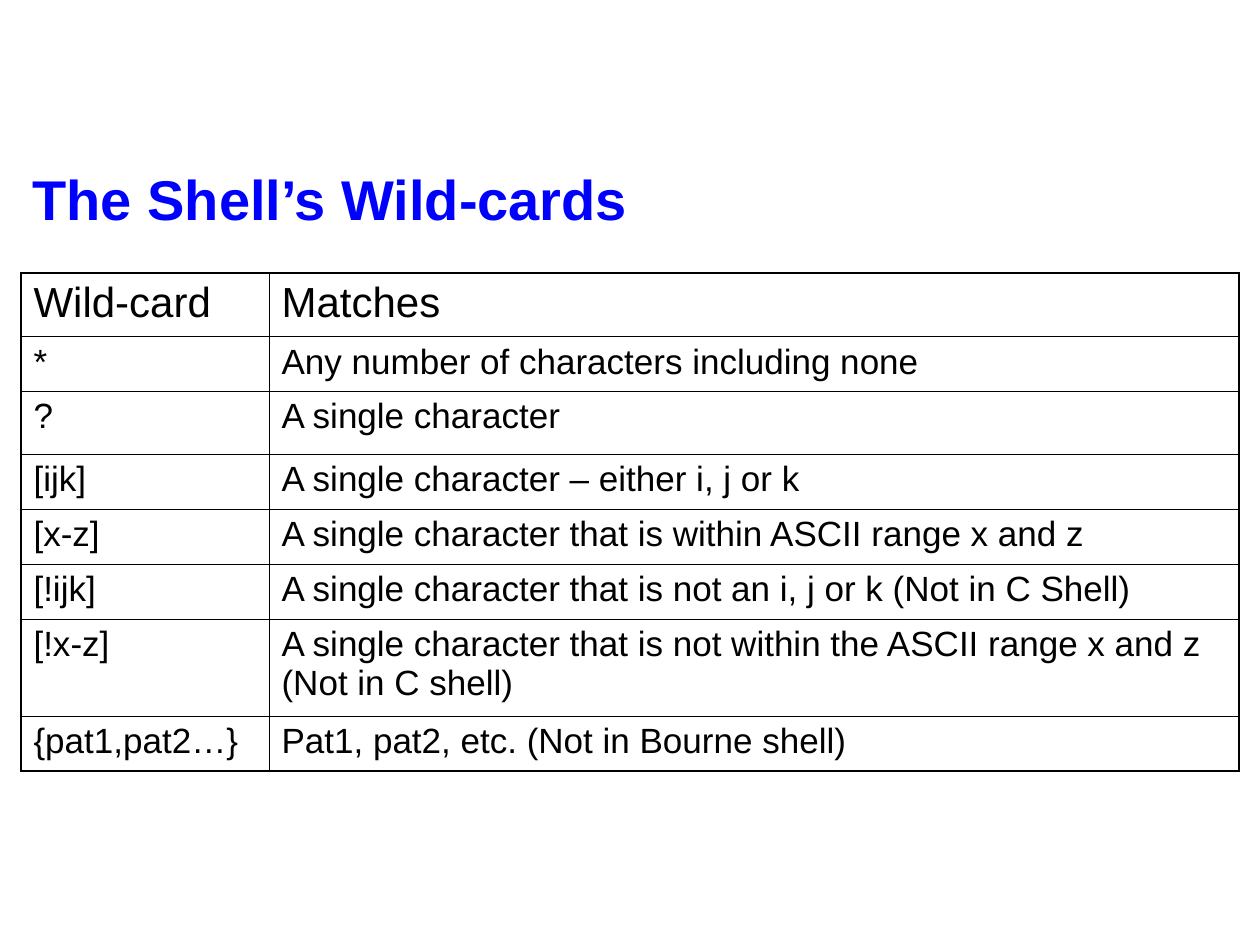
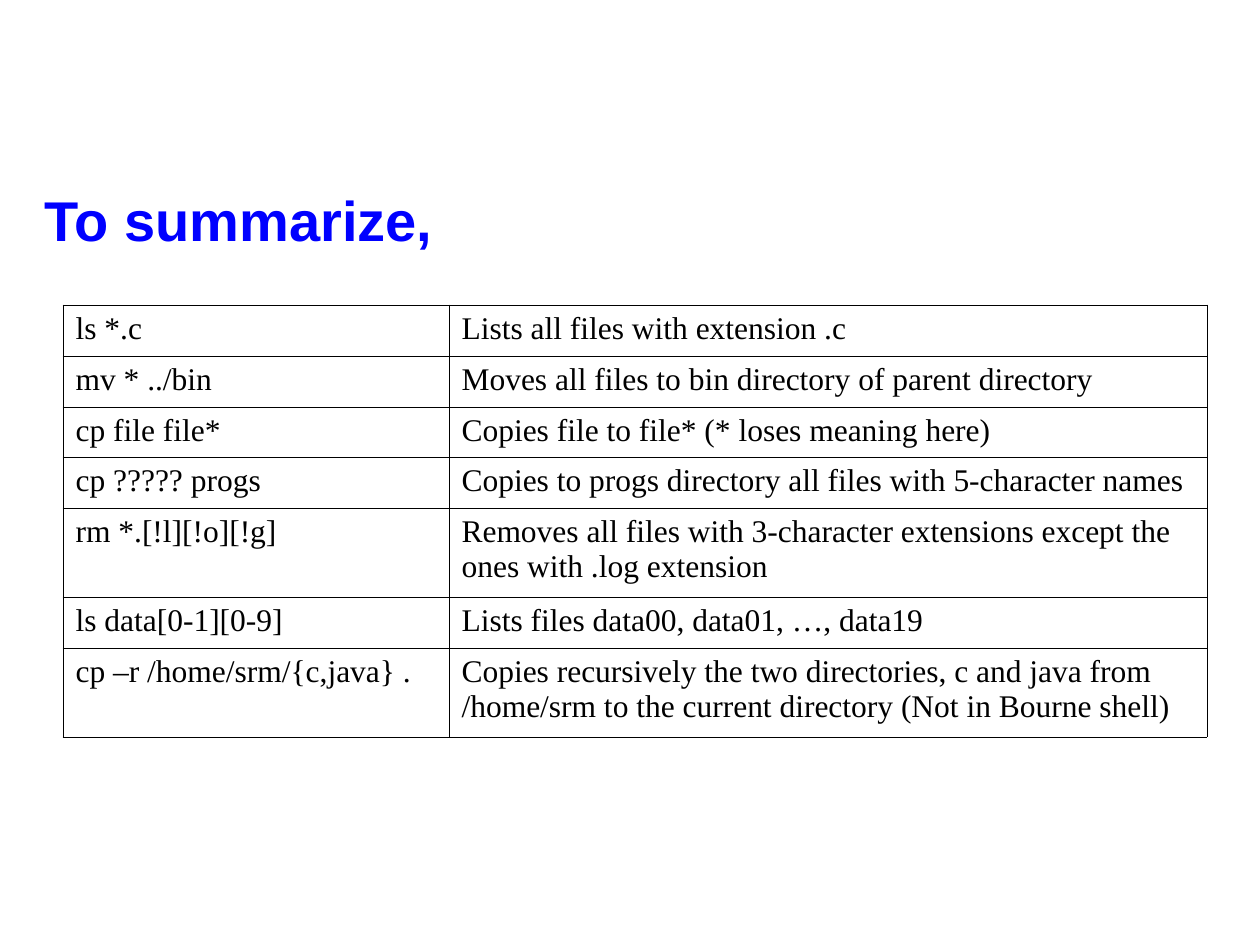
from dataclasses import dataclass

import lxml.etree
import pptx
import pptx.dml.color
import pptx.enum.text
import pptx.oxml.ns
import pptx.slide
import pptx.table
import pptx.util

BLACK = pptx.dml.color.RGBColor(0x00, 0x00, 0x00)
TITLE_BLUE = pptx.dml.color.RGBColor(0x00, 0x00, 0xFF)

PX_PER_INCH = 126
PAGE_WIDTH, PAGE_HEIGHT = 1260, 945
TITLE_HEIGHT = 81
TITLE_ONLY_LAYOUT = 5

THIN, THICK = 0.45, 1.08  # border widths in points


@dataclass(frozen=True)
class TitleBox:
    text: str
    left: int
    top: int
    width: int


@dataclass(frozen=True)
class RowSpec:
    height: int
    texts: tuple[str, str]
    size: int


@dataclass(frozen=True)
class TableSpec:
    left: int
    top: int
    columns: tuple[int, int]
    font: str
    outer_border: float
    has_header: bool
    rows: tuple[RowSpec, ...]


@dataclass(frozen=True)
class SlideSpec:
    title: TitleBox
    table: TableSpec


WILD_CARDS = SlideSpec(
    TitleBox("The Shell’s Wild-cards", 20, 158, 624),
    TableSpec(
        left=21, top=273, columns=(248, 970), font="Arial",
        outer_border=THICK, has_header=True,
        rows=(
            RowSpec(63, ("Wild-card", "Matches"), 24),
            RowSpec(55, ("*", "Any number of characters including none"), 20),
            RowSpec(63, ("?", "A single character"), 20),
            RowSpec(55, ("[ijk]", "A single character – either i, j or k"), 20),
            RowSpec(55, ("[x-z]", "A single character that is within ASCII range x and z"), 20),
            RowSpec(55, ("[!ijk]", "A single character that is not an i, j or k (Not in C Shell)"), 20),
            RowSpec(97, ("[!x-z]", "A single character that is not within the ASCII range x and z "
                         "(Not in C shell)"), 20),
            RowSpec(55, ("{pat1,pat2…}", "Pat1, pat2, etc. (Not in Bourne shell)"), 20),
        ),
    ),
)

SUMMARY = SlideSpec(
    TitleBox("To summarize,", 32, 179, 417),
    TableSpec(
        left=63, top=305, columns=(386, 758), font="Times New Roman",
        outer_border=THIN, has_header=False,
        rows=(
            RowSpec(51, ("ls *.c", "Lists all files with extension .c"), 18),
            RowSpec(51, ("mv * ../bin", "Moves all files to bin directory of parent directory"), 18),
            RowSpec(50, ("cp file file*", "Copies file to file* (* loses meaning here)"), 18),
            RowSpec(51, ("cp ????? progs",
                         "Copies to progs directory all files with 5-character names"), 18),
            RowSpec(89, ("rm *.[!l][!o][!g]", "Removes all files with 3-character extensions except the "
                         "ones with .log extension"), 18),
            RowSpec(50, ("ls data[0-1][0-9]", "Lists files data00, data01, …, data19"), 18),
            RowSpec(89, ("cp –r /home/srm/{c,java} .",
                         "Copies recursively the two directories, c and java from "
                         "/home/srm to the current directory (Not in Bourne shell)"), 18),
        ),
    ),
)


def px(length: int) -> pptx.util.Emu:
    return pptx.util.Emu(round(length * pptx.util.Inches(1) / PX_PER_INCH))


def set_attributes(target: object, values: dict[str, object]) -> None:
    for name, value in values.items():
        setattr(target, name, value)


def format_span(span, font: str, size: int, bold: bool, color: pptx.dml.color.RGBColor) -> None:
    set_attributes(span.font, {"name": font, "size": pptx.util.Pt(size), "bold": bold})
    span.font.color.rgb = color


def set_borders(cell: pptx.table._Cell, widths: dict[str, float]) -> None:
    """Draw solid black borders; widths must run in the order L, R, T, B."""
    properties = cell._tc.get_or_add_tcPr()
    for position, (side, width) in enumerate(widths.items()):
        line = lxml.etree.Element(pptx.oxml.ns.qn(f"a:ln{side}"), w=str(pptx.util.Pt(width)))
        fill = lxml.etree.SubElement(line, pptx.oxml.ns.qn("a:solidFill"))
        lxml.etree.SubElement(fill, pptx.oxml.ns.qn("a:srgbClr"), val=str(BLACK))
        properties.insert(position, line)


def draw_title(page: pptx.slide.Slide, title: TitleBox) -> None:
    box = page.shapes.title
    set_attributes(box, {"left": px(title.left), "top": px(title.top),
                         "width": px(title.width), "height": px(TITLE_HEIGHT)})
    set_attributes(box.text_frame, {
        "text": title.text,
        "word_wrap": False,
        "auto_size": pptx.enum.text.MSO_AUTO_SIZE.SHAPE_TO_FIT_TEXT,
        "vertical_anchor": pptx.enum.text.MSO_ANCHOR.MIDDLE,
    })
    para = box.text_frame.paragraphs[0]
    para.alignment = pptx.enum.text.PP_ALIGN.LEFT
    format_span(para.runs[0], "Arial", 32, True, TITLE_BLUE)


def draw_table(page: pptx.slide.Slide, spec: TableSpec) -> None:
    frame = page.shapes.add_table(
        len(spec.rows), len(spec.columns), px(spec.left), px(spec.top),
        px(sum(spec.columns)), px(sum(row.height for row in spec.rows)))
    table = frame.table
    set_attributes(table, {"first_row": spec.has_header, "horz_banding": False})
    for column, width in zip(table.columns, spec.columns):
        column.width = px(width)

    last_row, last_column = len(spec.rows) - 1, len(spec.columns) - 1
    for row_index, row in enumerate(spec.rows):
        table.rows[row_index].height = px(row.height)
        for column_index, text in enumerate(row.texts):
            cell = table.cell(row_index, column_index)
            cell.text = text
            cell.fill.background()
            format_span(cell.text_frame.paragraphs[0].runs[0], spec.font, row.size, False, BLACK)
            on_edge = {"L": column_index == 0, "R": column_index == last_column,
                       "T": row_index == 0, "B": row_index == last_row}
            set_borders(cell, {side: spec.outer_border if outer else THIN
                               for side, outer in on_edge.items()})


def main() -> None:
    deck = pptx.Presentation()
    set_attributes(deck, {"slide_width": px(PAGE_WIDTH), "slide_height": px(PAGE_HEIGHT)})
    for spec in (WILD_CARDS, SUMMARY):
        page = deck.slides.add_slide(deck.slide_layouts[TITLE_ONLY_LAYOUT])
        draw_title(page, spec.title)
        draw_table(page, spec.table)
    deck.save("out.pptx")


if __name__ == "__main__":
    main()
